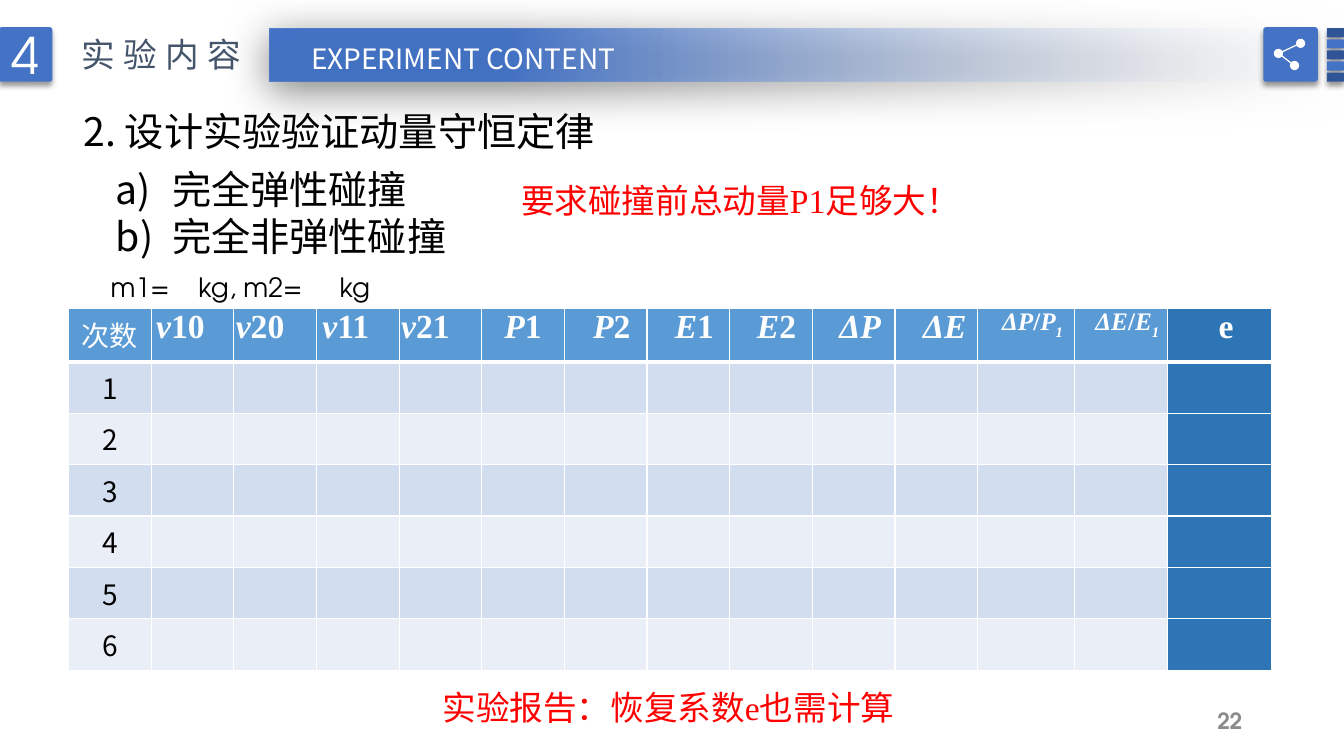
from math import cos, radians, sin

from lxml.etree import SubElement
from pptx import Presentation
from pptx.dml.color import RGBColor
from pptx.enum.shapes import MSO_SHAPE
from pptx.enum.text import MSO_ANCHOR, MSO_AUTO_SIZE, PP_ALIGN
from pptx.oxml.ns import qn
from pptx.util import Inches, Pt

BLUE = RGBColor(0x44, 0x72, 0xC4)
DARK_BLUE = RGBColor(0x2F, 0x55, 0x97)
PALE = RGBColor(0xF7, 0xFA, 0xFD)
SLATE = RGBColor(0x44, 0x54, 0x6A)
GRAY = RGBColor(0x8C, 0x8C, 0x8C)
WHITE = RGBColor(0xFF, 0xFF, 0xFF)
BLACK = RGBColor(0x00, 0x00, 0x00)
RED = RGBColor(0xFF, 0x00, 0x00)
HEAD_FILL = RGBColor(0x5B, 0x9B, 0xD5)
RESULT_FILL = RGBColor(0x2E, 0x75, 0xB6)
BANDS = [RGBColor(0xD2, 0xDE, 0xEF), RGBColor(0xEA, 0xEF, 0xF7)]

HAN = "Noto Sans CJK SC"
SANS = "TeX Gyre Adventor"
SERIF = "Times New Roman"


def add_text(paragraph, text, size=24, font=HAN, color=BLACK, bold=False,
             italic=False, spacing=0, baseline=0):
    run = paragraph.add_run()
    run.text = text
    run.font.size = Pt(size)
    run.font.bold = bold
    run.font.italic = italic
    run.font.color.rgb = color
    run.font.name = font
    properties = run.font._element
    SubElement(properties, qn("a:ea")).set("typeface", HAN)
    if spacing:
        properties.set("spc", str(spacing * 100))
    if baseline:
        properties.set("baseline", str(baseline * 1000))


def add_box(shapes, left, top, width, height, wrap=True, align=PP_ALIGN.LEFT):
    frame = shapes.add_textbox(Inches(left), Inches(top), Inches(width), Inches(height)).text_frame
    frame.word_wrap = wrap
    frame.auto_size = MSO_AUTO_SIZE.SHAPE_TO_FIT_TEXT
    frame.paragraphs[0].alignment = align
    return frame


def add_shadow(shape, opacity, blur, distance, angle):
    shape.shadow.inherit = False
    effects = shape._element.spPr.find(qn("a:effectLst"))
    shadow = SubElement(effects, qn("a:outerShdw"), blurRad=str(Pt(blur)), dist=str(Pt(distance)),
                        dir=str(angle * 60000), algn="ctr", rotWithShape="0")
    color = SubElement(shadow, qn("a:srgbClr"), val="000000")
    SubElement(color, qn("a:alpha"), val=str(opacity * 1000))


def add_tile(shapes, left, top, width, height, color):
    tile = shapes.add_shape(MSO_SHAPE.ROUNDED_RECTANGLE, Inches(left), Inches(top),
                            Inches(width), Inches(height))
    tile.adjustments[0] = 0.05
    tile.fill.solid()
    tile.fill.fore_color.rgb = color
    tile.line.fill.background()
    add_shadow(tile, 40, 4, 3, 90)
    return tile


def add_banner(shapes, left, top, width, height):
    # Bar that fades out to the right
    bar = shapes.add_shape(MSO_SHAPE.RECTANGLE, Inches(left + 2.68), Inches(top + 0.01),
                           Inches(width - 2.68), Inches(height - 0.01))
    bar.line.fill.background()
    bar.fill.gradient()
    bar.fill.gradient_angle = 180
    for stop, position, color in zip(bar.fill.gradient_stops, (0, 0.78), (PALE, BLUE)):
        stop.position = position
        stop.color.rgb = color
    clear_end = bar._element.spPr.find(".//" + qn("a:srgbClr"))
    SubElement(clear_end, qn("a:alpha"), val="0")
    add_shadow(bar, 50, 31, 6, 97)

    # Section number and titles
    number = add_tile(shapes, left, top, 0.53, height, BLUE).text_frame
    number.vertical_anchor = MSO_ANCHOR.MIDDLE
    number.paragraphs[0].alignment = PP_ALIGN.CENTER
    add_text(number.paragraphs[0], "4", size=36, font=SANS, color=WHITE)
    section = add_box(shapes, left + 0.72, top + 0.02, 1.88, 0.5, wrap=False)
    add_text(section.paragraphs[0], "实验内容", color=SLATE, spacing=6)
    english = add_box(shapes, left + 2.92, top + 0.09, 3.37, 0.44, wrap=False,
                      align=PP_ALIGN.CENTER)
    add_text(english.paragraphs[0], "EXPERIMENT CONTENT", size=20, color=WHITE)


def add_share_button(shapes, left, top, size):
    button = shapes.add_group_shape().shapes
    # Stripes beside the button
    for row in range(5):
        add_tile(button, left + 0.63, top + 0.01 + 0.11 * row, 0.17, 0.09,
                 BLUE if row % 2 else DARK_BLUE)
    add_tile(button, left, top, size, size, BLUE)

    # Three joined nodes: centre, then start and end angle of each arc
    upper, middle, lower = (0.37, 0.16), (0.15, 0.26), (0.31, 0.38)
    arcs = [(upper, 165, 509), (middle, -15, 28), (lower, 224, 568), (middle, 44, 329)]
    radius, steps = 0.045, 24
    points = []
    for (x, y), start, end in arcs:
        for step in range(steps + 1):
            angle = radians(start + (end - start) * step / steps)
            points.append((Inches(left + x + radius * cos(angle)),
                           Inches(top + y + radius * sin(angle))))
    outline = button.build_freeform(*points[0])
    outline.add_line_segments(points[1:], close=True)
    nodes = outline.convert_to_shape()
    nodes.fill.solid()
    nodes.fill.fore_color.rgb = WHITE
    nodes.line.fill.background()
    nodes.shadow.inherit = False


def add_task(shapes, left, top):
    heading = add_box(shapes, left, top, 5.45, 0.57, wrap=False)
    add_text(heading.paragraphs[0], "2. 设计实验验证动量守恒定律", size=28)

    # Lettered cases
    cases = add_box(shapes, left + 0.32, top + 0.57, 3.62, 1.04)
    for index, case in enumerate(("完全弹性碰撞", "完全非弹性碰撞")):
        paragraph = cases.add_paragraph() if index else cases.paragraphs[0]
        properties = paragraph._p.get_or_add_pPr()
        properties.set("marL", str(Inches(0.56)))
        properties.set("indent", str(-Inches(0.56)))
        SubElement(properties, qn("a:buFont"), typeface=HAN)
        SubElement(properties, qn("a:buAutoNum"), type="alphaLcParenR")
        add_text(paragraph, case, size=28)

    # Masses to fill in
    masses = add_box(shapes, left + 0.27, top + 1.62, 3.66, 0.42).paragraphs[0]
    stops = SubElement(masses._p.get_or_add_pPr(), qn("a:tabLst"))
    for position in (0.87, 2.27):
        SubElement(stops, qn("a:tab"), pos=str(Inches(position)), algn="l")
    add_text(masses, "m1=\tkg, m2=\tkg", size=19, font=SANS)


def add_red_note(shapes, left, top, width, before, symbol, after):
    note = add_box(shapes, left, top, width, 0.5).paragraphs[0]
    for text, font in ((before, SANS), (symbol, SERIF), (after, SANS)):
        add_text(note, text, font=font, color=RED)


def set_borders(cell, bottom=1, top=1):
    properties = cell._tc.get_or_add_tcPr()
    for index, (side, width) in enumerate((("L", 1), ("R", 1), ("T", top), ("B", bottom))):
        line = SubElement(properties, qn(f"a:ln{side}"), w=str(Pt(width)))
        properties.insert(index, line)
        SubElement(SubElement(line, qn("a:solidFill")), qn("a:srgbClr"), val=str(WHITE))


def add_results_table(shapes, left, top):
    # Italic part, upright part, left and right margin
    quantities = [("v", "10", 0, 0.24), ("v", "20", 0, 0.3), ("v", "11", 0, 0.24),
                  ("v", "21", 0, 0.3), ("P", "1", 0, 0), ("P", "2", 0.12, 0),
                  ("E", "1", 0.12, 0), ("E", "2", 0.11, 0), ("ΔP", "", 0.13, 0),
                  ("ΔE", "", 0.17, 0), ("ΔP", "/P", 0.13, 0), ("ΔE", "/E", 0.13, 0),
                  ("", "e", 0.13, 0)]
    widths = [0.82] * 11 + [0.96, 0.92, 1.04]
    heights = [0.53] + [0.51] * 6
    table = shapes.add_table(len(heights), len(widths), Inches(left), Inches(top),
                             Inches(sum(widths)), Inches(sum(heights))).table
    for column, width in zip(table.columns, widths):
        column.width = Inches(width)
    for row, height in zip(table.rows, heights):
        row.height = Inches(height)

    # Fills and borders
    for r in range(len(heights)):
        for c in range(len(widths)):
            cell = table.cell(r, c)
            cell.fill.solid()
            body = BANDS[(r - 1) % 2] if r else HEAD_FILL
            cell.fill.fore_color.rgb = RESULT_FILL if c == len(widths) - 1 else body
            set_borders(cell, bottom=1 if r else 3, top=3 if r == 1 else 1)

    # Trial numbers
    for r in range(len(heights)):
        trial = table.cell(r, 0).text_frame.paragraphs[0]
        trial.alignment = PP_ALIGN.CENTER
        add_text(trial, str(r) if r else "次数", size=20, color=BLACK if r else WHITE)

    # Quantities
    for c, (symbol, suffix, margin_left, margin_right) in enumerate(quantities, 1):
        cell = table.cell(0, c)
        cell.margin_left, cell.margin_right = Inches(margin_left), Inches(margin_right)
        cell.margin_top = cell.margin_bottom = 0
        paragraph = cell.text_frame.paragraphs[0]
        paragraph.alignment = PP_ALIGN.CENTER
        is_ratio = suffix.startswith("/")
        style = dict(size=18 if is_ratio else 24, font=SERIF, color=WHITE, bold=True)
        if symbol:
            add_text(paragraph, symbol, italic=True, **style)
        if is_ratio:
            add_text(paragraph, "/", **style)
            add_text(paragraph, suffix[1:], italic=True, **style)
            add_text(paragraph, "1", italic=True, baseline=-25, **style)
        elif suffix:
            add_text(paragraph, suffix, **style)


def add_page_number(shapes, left, top, width, height):
    frame = add_box(shapes, left, top, width, height, align=PP_ALIGN.RIGHT)
    frame.auto_size = MSO_AUTO_SIZE.NONE
    frame.vertical_anchor = MSO_ANCHOR.MIDDLE
    add_text(frame.paragraphs[0], "22", size=16, font=SANS, color=GRAY, bold=True)


def main():
    deck = Presentation()
    deck.slide_width, deck.slide_height = Inches(13.33), Inches(7.5)
    shapes = deck.slides.add_slide(deck.slide_layouts[6]).shapes
    add_banner(shapes, -0.01, 0.27, 13.34, 0.54)
    add_share_button(shapes, 12.53, 0.27, 0.54)
    add_page_number(shapes, 9.42, 6.95, 3, 0.4)
    add_results_table(shapes, 0.68, 3.06)
    add_task(shapes, 0.73, 1.02)
    add_red_note(shapes, 5.07, 1.74, 4.57, "要求碰撞前总动量", "P1", "足够大！")
    add_red_note(shapes, 4.29, 6.77, 5.35, "实验报告：恢复系数", "e", "也需计算")
    deck.save("out.pptx")


if __name__ == "__main__":
    main()
